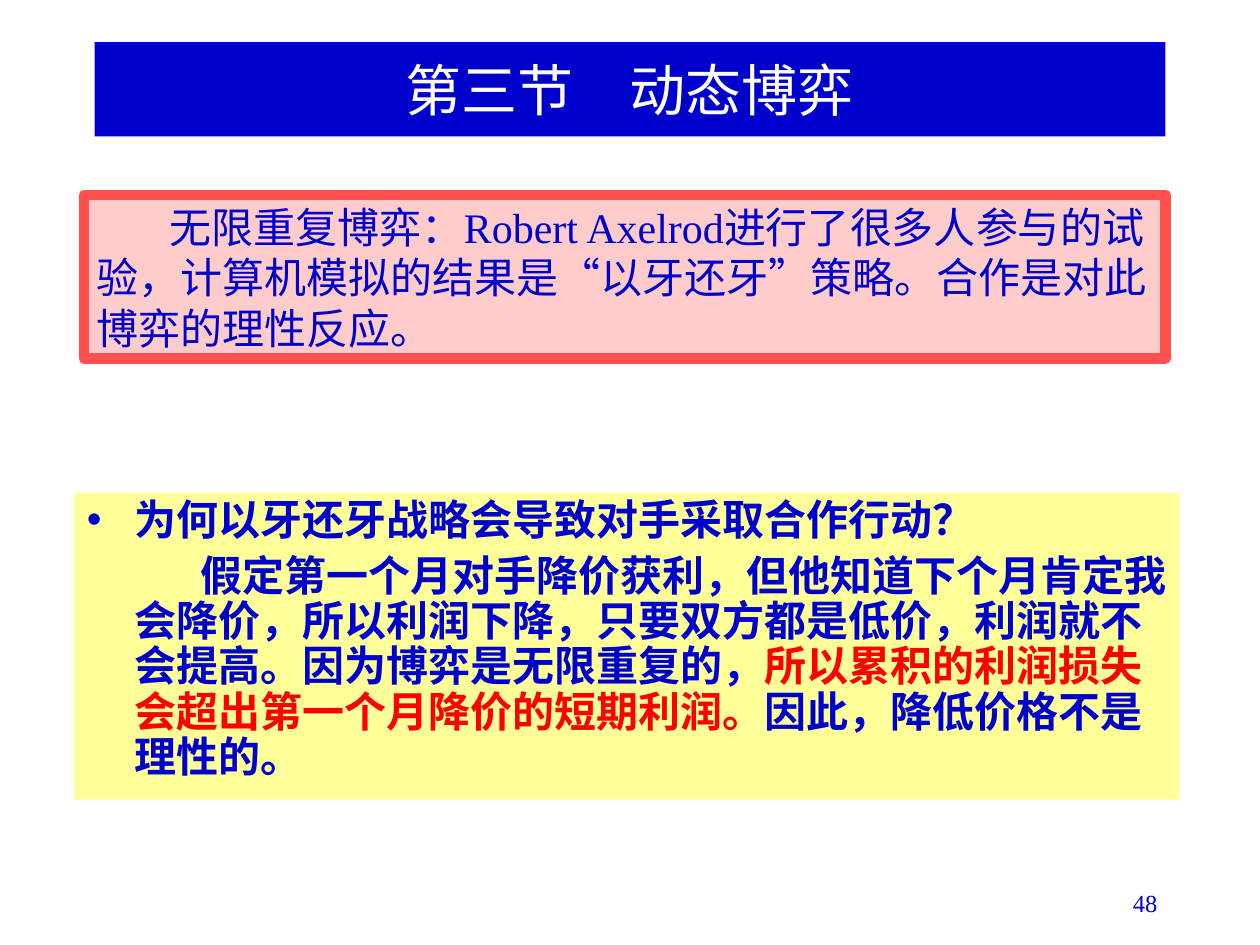
from lxml import etree
from pptx import Presentation
from pptx.dml.color import RGBColor
from pptx.enum.shapes import MSO_SHAPE
from pptx.enum.text import MSO_ANCHOR, MSO_AUTO_SIZE, PP_ALIGN
from pptx.oxml.ns import qn
from pptx.util import Pt

RECTANGLE = MSO_SHAPE.RECTANGLE
TOP, MIDDLE = MSO_ANCHOR.TOP, MSO_ANCHOR.MIDDLE
NO_AUTOFIT = MSO_AUTO_SIZE.NONE
LEFT, CENTER, RIGHT = PP_ALIGN.LEFT, PP_ALIGN.CENTER, PP_ALIGN.RIGHT
BLUE, RED, WHITE = "0000CC", "FF0000", "FFFFFF"


def color(hex_string):
    return RGBColor.from_string(hex_string)


def add_span(para, text, size, hex_string, bold=False):
    span = para.add_run()
    span.text = text
    span.font.name = "Times New Roman"
    span.font.size = Pt(size)
    span.font.bold = bold
    span.font.color.rgb = color(hex_string)


deck = Presentation()
deck.slide_width, deck.slide_height = Pt(720), Pt(540)
page = deck.slides.add_slide(deck.slide_layouts[1])

title = page.shapes.title
body = page.placeholders[1]
summary = page.shapes.add_shape(RECTANGLE, 0, 0, 0, 0)
number = page.shapes.add_textbox(0, 0, 0, 0)

# box, left, top, width, height, fill, anchor, alignment
layout = [
    (title, 54, 24, 612, 54, BLUE, MIDDLE, CENTER),
    (summary, 48, 111.5, 618, 93.5, "FFCCCC", TOP, LEFT),
    (body, 42.5, 281.5, 631.5, 175.5, "FFFF99", TOP, LEFT),
    (number, 518.5, 504, 150, 36, None, TOP, RIGHT),
]
for box, left, top, width, height, fill, anchor, alignment in layout:
    box.left, box.top, box.width, box.height = Pt(left), Pt(top), Pt(width), Pt(height)
    if fill:
        box.fill.solid()
        box.fill.fore_color.rgb = color(fill)
    frame = box.text_frame
    frame.word_wrap = True
    frame.auto_size = NO_AUTOFIT
    frame.vertical_anchor = anchor
    frame.paragraphs[0].alignment = alignment

add_span(title.text_frame.paragraphs[0], "第三节　动态博弈", 32, WHITE)

summary.shadow.inherit = False
summary.line.color.rgb = color("FF5050")
summary.line.width = Pt(6)
para = summary.text_frame.paragraphs[0]
para._p.get_or_add_pPr().set("indent", str(Pt(42)))
add_span(para, "无限重复博弈：Robert Axelrod进行了很多人参与的试验，"
         "计算机模拟的结果是“以牙还牙”策略。合作是对此博弈的理性反应。", 24, BLUE)

# bullet, first-line indent, space before, spans
answer = [
    ("•", -27, 0, [("为何以牙还牙战略会导致对手采取合作行动？", BLUE)]),
    (None, 38, 6, [
        ("假定第一个月对手降价获利，但他知道下个月肯定我会降价，所以利润下降，"
         "只要双方都是低价，利润就不会提高。因为博弈是无限重复的，", BLUE),
        ("所以累积的利润损失会超出第一个月降价的短期利润。", RED),
        ("因此，降低价格不是理性的。", BLUE),
    ]),
]
frame = body.text_frame
for index, (bullet, indent, space_before, spans) in enumerate(answer):
    para = frame.add_paragraph() if index else frame.paragraphs[0]
    para.alignment = LEFT
    para.line_spacing = 0.9
    para.space_before = Pt(space_before)
    properties = para._p.get_or_add_pPr()
    properties.set("marL", str(Pt(27)))
    properties.set("indent", str(Pt(indent)))
    if bullet:
        etree.SubElement(properties, qn("a:buChar"), char=bullet)
    else:
        etree.SubElement(properties, qn("a:buNone"))
    for text, hex_string in spans:
        add_span(para, text, 24, hex_string, bold=True)

add_span(number.text_frame.paragraphs[0], "48", 14, BLUE)

deck.save("out.pptx")
